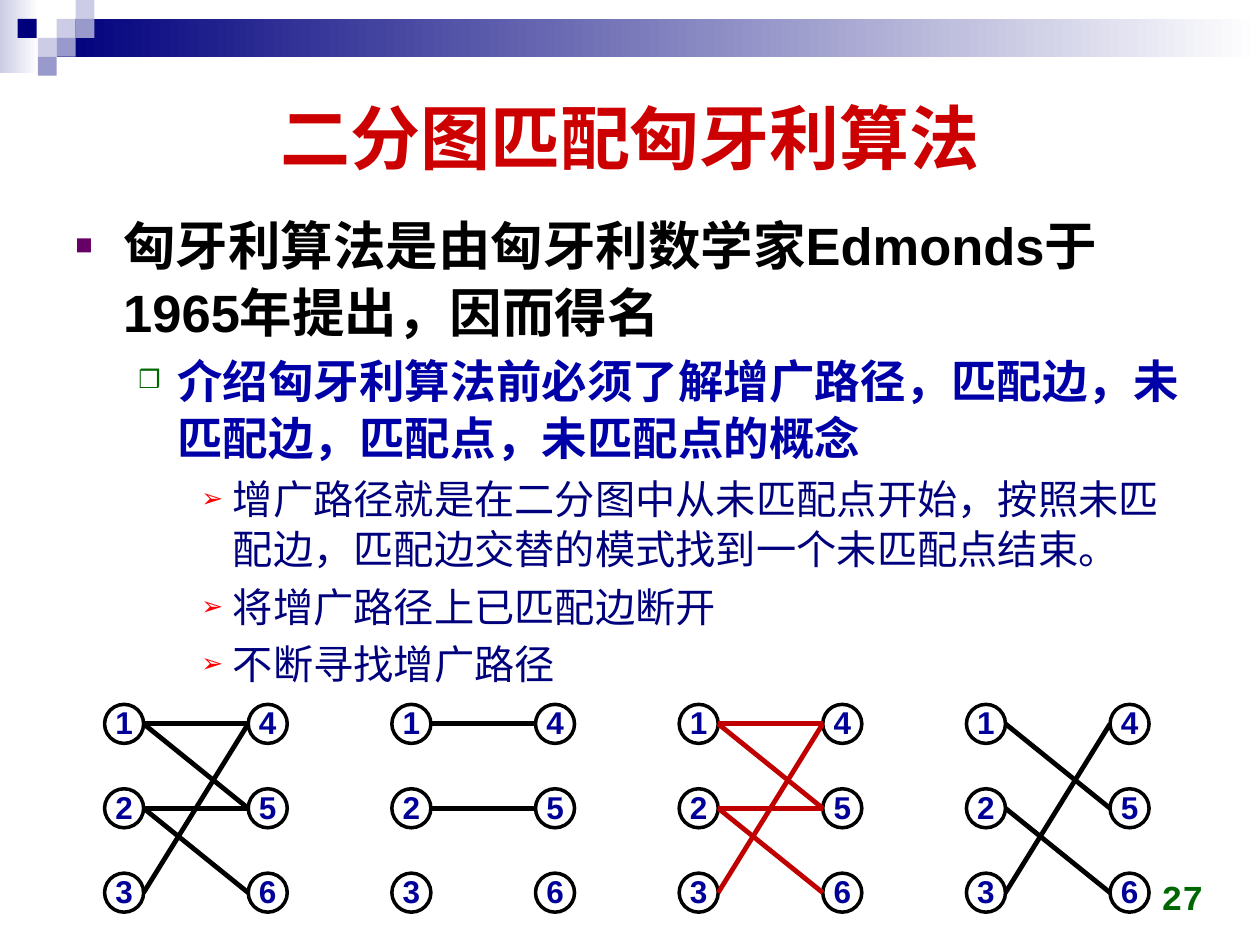
from dataclasses import dataclass

from lxml.etree import SubElement
from pptx import Presentation
from pptx.dml.color import RGBColor
from pptx.enum.shapes import MSO_CONNECTOR, MSO_SHAPE
from pptx.enum.text import MSO_ANCHOR, PP_ALIGN
from pptx.oxml.ns import qn
from pptx.util import Inches, Pt

NODE_SIZE = 0.31
COLUMN_STEP = 1.14
ROW_STEP = 0.67
GRAPH_TOP = 5.59
GRAPH_LEFT = 0.83
GRAPH_STEP = 2.28
BLACK = "000000"
RED = "C00000"


@dataclass
class Block:
    left: float
    top: float
    width: float
    height: float
    colors: tuple[str, ...]


@dataclass
class Level:
    size: int
    color: str
    bold: bool
    margin: float
    hanging: float
    bullet: str
    bullet_color: str
    bullet_percent: int


@dataclass
class Graph:
    edges: tuple[tuple[int, int], ...]
    color: str = BLACK


BLOCKS = (
    Block(0, 0, 0.31, 0.58, ("CCCCE6", "FFFFFF")),
    Block(0.45, 0.15, 9.55, 0.3, ("00007D", "FFFFFF")),
    Block(0.45, 0.15, 0.15, 0.15, ("CCCCE6",)),
    Block(0.6, 0, 0.15, 0.15, ("CCCCE6",)),
    Block(0.6, 0.15, 0.15, 0.15, ("9999CC",)),
    Block(0.3, 0.3, 0.15, 0.15, ("CCCCE6",)),
    Block(0.14, 0.15, 0.15, 0.15, ("00007D",)),
    Block(0.45, 0.3, 0.15, 0.15, ("9999CC",)),
    Block(0.3, 0.45, 0.15, 0.15, ("9999CC",)),
)

LEVELS = (
    Level(30, BLACK, True, 0.38, 0.38, "■", "660066", 55),
    Level(26, "0000A8", True, 0.81, 0.31, "❒", "006600", 55),
    Level(23, "00007D", False, 1.25, 0.25, "➢", "FF0000", 65),
)

OUTLINE = (
    (0, "匈牙利算法是由匈牙利数学家Edmonds于1965年提出，因而得名"),
    (1, "介绍匈牙利算法前必须了解增广路径，匹配边，未匹配边，匹配点，未匹配点的概念"),
    (2, "增广路径就是在二分图中从未匹配点开始，按照未匹配边，匹配边交替的模式找到一个未匹配点结束。"),
    (2, "将增广路径上已匹配边断开"),
    (2, "不断寻找增广路径"),
)

ALL_EDGES = ((1, 4), (3, 4), (2, 5), (1, 5), (2, 6))
GRAPHS = (
    Graph(ALL_EDGES),
    Graph(((1, 4), (2, 5))),
    Graph(ALL_EDGES, RED),
    Graph(((3, 4), (1, 5), (2, 6))),
)


def rgb(value: str) -> RGBColor:
    return RGBColor.from_string(value)


def format_runs(paragraph, size: int, color: str, bold: bool = True, font: str = "Arial") -> None:
    for run in paragraph.runs:
        run.font.name = font
        run.font.size = Pt(size)
        run.font.bold = bold
        run.font.color.rgb = rgb(color)


def add_block(shapes, block: Block) -> None:
    shape = shapes.add_shape(MSO_SHAPE.RECTANGLE, Inches(block.left), Inches(block.top),
                             Inches(block.width), Inches(block.height))
    shape.shadow.inherit = False
    shape.line.fill.background()
    if len(block.colors) == 1:
        shape.fill.solid()
        shape.fill.fore_color.rgb = rgb(block.colors[0])
        return
    shape.fill.gradient()
    shape.fill.gradient_angle = 0
    for stop, color in zip(shape.fill.gradient_stops, block.colors):
        stop.color.rgb = rgb(color)


def add_text_frame(shapes, left: float, top: float, width: float, height: float, anchor):
    box = shapes.add_textbox(Inches(left), Inches(top), Inches(width), Inches(height))
    box.text_frame.word_wrap = True
    box.text_frame.vertical_anchor = anchor
    return box.text_frame


def add_label(shapes, text: str, left: float, top: float, width: float, height: float,
              anchor, alignment, size: int, color: str, font: str) -> None:
    text_frame = add_text_frame(shapes, left, top, width, height, anchor)
    text_frame.text = text
    paragraph = text_frame.paragraphs[0]
    paragraph.alignment = alignment
    format_runs(paragraph, size, color, font=font)


def set_bullet(paragraph, level: Level) -> None:
    properties = paragraph._p.get_or_add_pPr()
    properties.set("marL", str(Inches(level.margin)))
    properties.set("indent", str(-Inches(level.hanging)))
    bullet_color = SubElement(properties, qn("a:buClr"))
    SubElement(bullet_color, qn("a:srgbClr"), val=level.bullet_color)
    SubElement(properties, qn("a:buSzPct"), val=str(level.bullet_percent * 1000))
    SubElement(properties, qn("a:buFont"), typeface="Arial")
    SubElement(properties, qn("a:buChar"), char=level.bullet)


def add_outline(shapes) -> None:
    text_frame = add_text_frame(shapes, 0.5, 1.62, 9, 5.2, MSO_ANCHOR.TOP)
    text_frame.text = "\n".join(text for _, text in OUTLINE)
    for paragraph, (depth, _) in zip(text_frame.paragraphs, OUTLINE):
        level = LEVELS[depth]
        paragraph.level = depth
        paragraph.line_spacing = 1.05
        paragraph.space_before = Pt(level.size * 0.17)
        set_bullet(paragraph, level)
        format_runs(paragraph, level.size, level.color, level.bold)


def node_position(node: int, graph_left: float) -> tuple[float, float]:
    column, row = divmod(node - 1, 3)
    return graph_left + column * COLUMN_STEP, GRAPH_TOP + row * ROW_STEP


def add_node(shapes, node: int, graph_left: float) -> None:
    left, top = node_position(node, graph_left)
    shape = shapes.add_shape(MSO_SHAPE.OVAL, Inches(left), Inches(top),
                             Inches(NODE_SIZE), Inches(NODE_SIZE))
    shape.shadow.inherit = False
    shape.fill.background()
    shape.line.color.rgb = rgb(BLACK)
    shape.line.width = Pt(2)
    text_frame = shape.text_frame
    text_frame.margin_left = text_frame.margin_right = Inches(0.02)
    text_frame.margin_top = text_frame.margin_bottom = Inches(0.01)
    text_frame.vertical_anchor = MSO_ANCHOR.MIDDLE
    text_frame.text = str(node)
    paragraph = text_frame.paragraphs[0]
    paragraph.alignment = PP_ALIGN.CENTER
    paragraph.line_spacing = 0.96
    format_runs(paragraph, 18, "000099")


def add_edge(shapes, start: int, end: int, graph_left: float, color: str) -> None:
    start_left, start_top = node_position(start, graph_left)
    end_left, end_top = node_position(end, graph_left)
    radius = NODE_SIZE / 2
    connector = shapes.add_connector(
        MSO_CONNECTOR.STRAIGHT, Inches(start_left + NODE_SIZE), Inches(start_top + radius),
        Inches(end_left), Inches(end_top + radius))
    connector.line.color.rgb = rgb(color)
    connector.line.width = Pt(2.75)
    SubElement(connector._element.spPr, qn("a:effectLst"))


def add_graph(shapes, graph: Graph, left: float) -> None:
    group = shapes.add_group_shape()
    for node in range(1, 7):
        add_node(group.shapes, node, left)
    for start, end in graph.edges:
        add_edge(group.shapes, start, end, left, graph.color)


def main() -> None:
    presentation = Presentation()
    presentation.slide_width = Inches(10)
    presentation.slide_height = Inches(7.5)
    slide = presentation.slides.add_slide(presentation.slide_layouts[6])
    for block in BLOCKS:
        add_block(slide.shapes, block)
    add_label(slide.shapes, "二分图匹配匈牙利算法", 0.5, 0.5, 9, 1.16,
              MSO_ANCHOR.MIDDLE, PP_ALIGN.CENTER, 40, "CC0000", "Arial")
    add_outline(slide.shapes)
    add_label(slide.shapes, "27", 7.32, 6.83, 2.33, 0.5,
              MSO_ANCHOR.BOTTOM, PP_ALIGN.RIGHT, 20, "006600", "Courier New")
    for index, graph in enumerate(GRAPHS):
        add_graph(slide.shapes, graph, GRAPH_LEFT + index * GRAPH_STEP)
    presentation.save("out.pptx")


if __name__ == "__main__":
    main()
